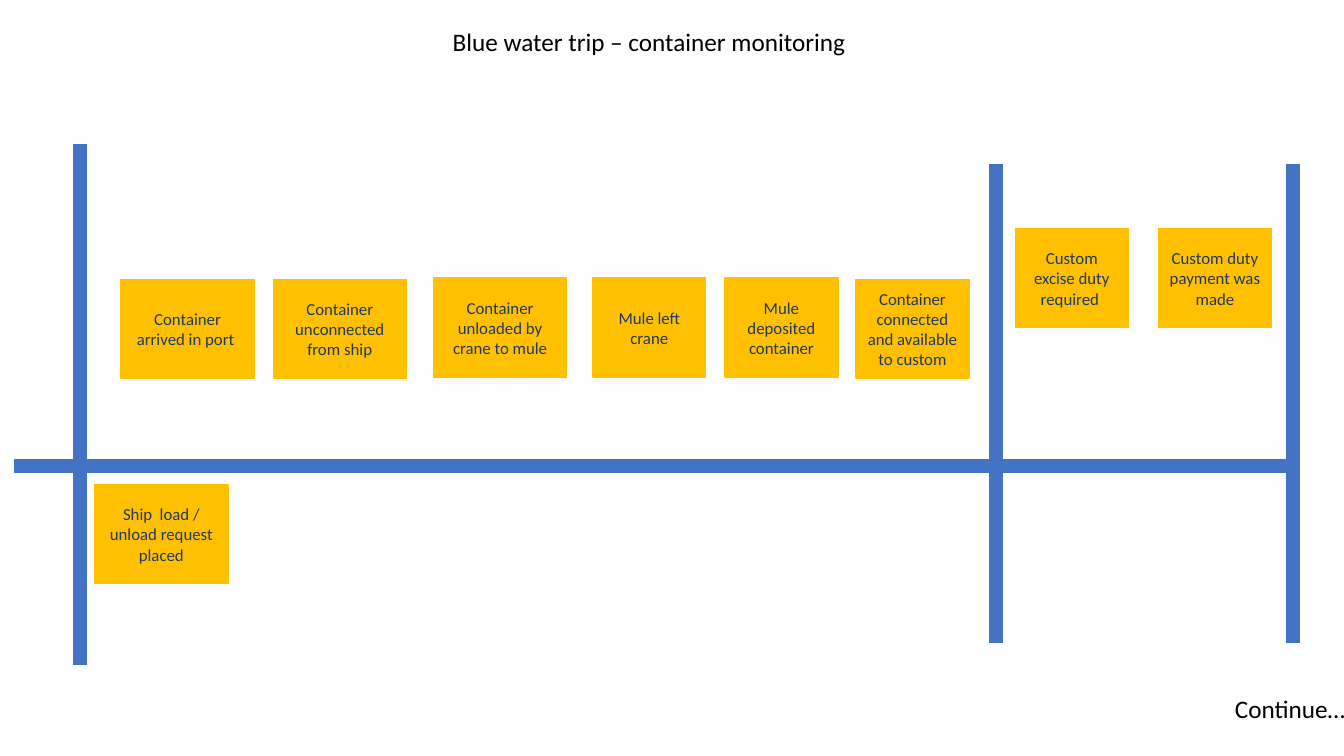
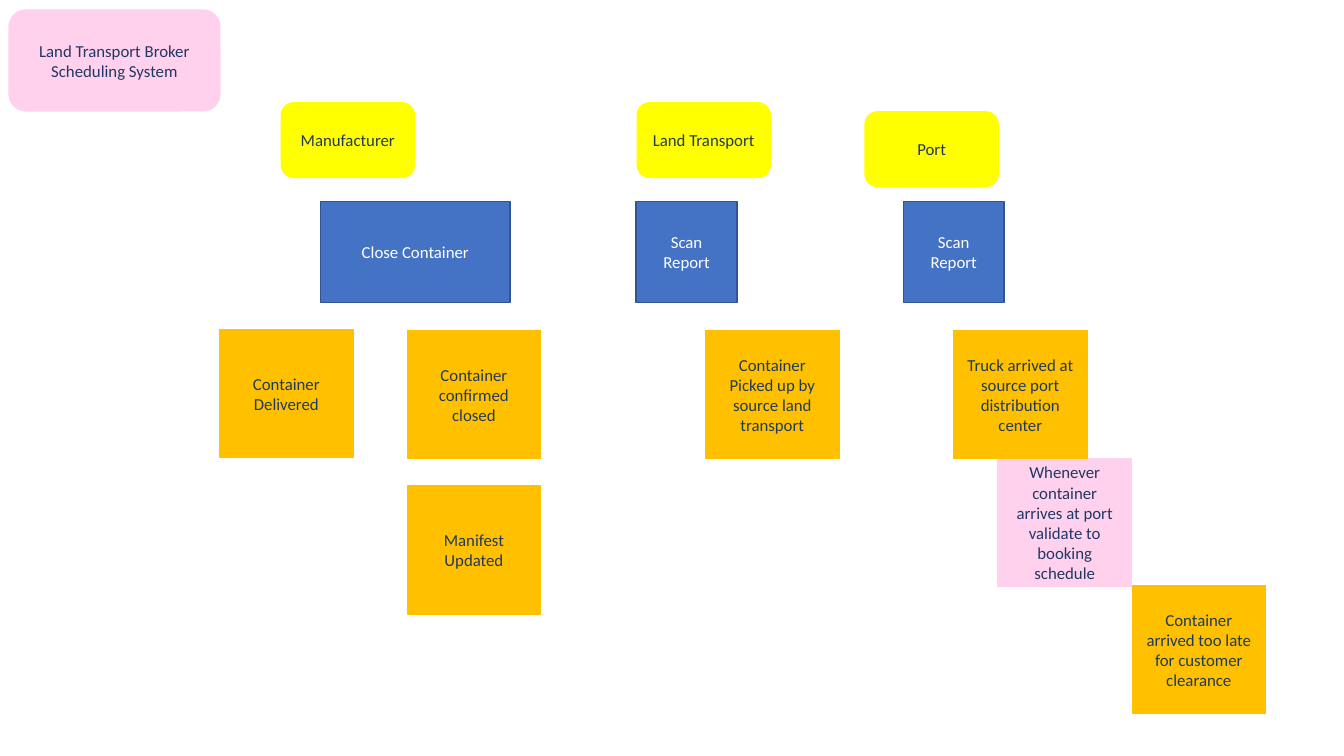
from dataclasses import dataclass

from lxml import etree
from pptx import Presentation
from pptx import util as u
from pptx.dml.color import RGBColor
from pptx.enum import dml, shapes, text
from pptx.oxml import ns


@dataclass(frozen=True)
class Theme:
    font: str = "Calibri"
    heading_size: int = 18
    note_size: int = 12
    axis_width: int = 10
    black: RGBColor = RGBColor.from_string("000000")
    white: RGBColor = RGBColor.from_string("FFFFFF")
    navy: RGBColor = RGBColor.from_string("203864")
    blue: RGBColor = RGBColor.from_string("4472C4")
    dark_blue: RGBColor = RGBColor.from_string("325491")
    orange: RGBColor = RGBColor.from_string("FFC000")
    yellow: RGBColor = RGBColor.from_string("FFFF00")
    pink: RGBColor = RGBColor.from_string("FFD1EC")


theme = Theme()
RECTANGLE = shapes.MSO_SHAPE.RECTANGLE
ROUNDED = shapes.MSO_SHAPE.ROUNDED_RECTANGLE

# Each kind of note: outline, fill, line, text colour
event = (RECTANGLE, theme.orange, theme.orange, theme.navy)
policy = (RECTANGLE, theme.pink, theme.pink, theme.navy)
command = (RECTANGLE, theme.blue, theme.dark_blue, theme.white)
actor = (ROUNDED, theme.yellow, theme.yellow, theme.navy)
system = (ROUNDED, theme.pink, theme.pink, theme.navy)


def write(shape, words, size=theme.note_size, color=theme.navy,
          align=text.PP_ALIGN.CENTER, anchor=text.MSO_ANCHOR.MIDDLE, wrap=True):
    frame = shape.text_frame
    frame.word_wrap = wrap
    frame.vertical_anchor = anchor
    frame.margin_left = frame.margin_right = u.Inches(0.1)
    frame.margin_top = frame.margin_bottom = u.Inches(0.05)
    if not wrap:
        frame.auto_size = text.MSO_AUTO_SIZE.SHAPE_TO_FIT_TEXT
    paragraph = frame.paragraphs[0]
    paragraph.alignment = align
    run = paragraph.add_run()
    run.text = words
    run.font.name = theme.font
    run.font.size = u.Pt(size)
    run.font.color.rgb = color


def add_note(slide, kind, words, left, top, width, height):
    outline, fill, line, color = kind
    shape = slide.shapes.add_shape(outline, u.Inches(left), u.Inches(top),
                                   u.Inches(width), u.Inches(height))
    shape.shadow.inherit = False
    shape.fill.solid()
    shape.fill.fore_color.rgb = fill
    shape.line.color.rgb = line
    shape.line.width = u.Pt(1)
    write(shape, words, color=color)
    return shape


presentation = Presentation()
presentation.slide_width = u.Inches(13.33)
presentation.slide_height = u.Inches(7.5)
title_only, blank = presentation.slide_layouts[5], presentation.slide_layouts[6]

# Slide 1: container timeline
slide = presentation.slides.add_slide(title_only)
title = slide.shapes.title
title.left, title.top = u.Inches(4.39), u.Inches(0.21)
title.width, title.height = u.Inches(4.14), u.Inches(0.4)
continuation = slide.shapes.add_textbox(u.Inches(12.15), u.Inches(6.83),
                                        u.Inches(1.33), u.Inches(0.4))
for shape, words in ((title, "Blue water trip – container monitoring"),
                     (continuation, "Continue…")):
    write(shape, words, size=theme.heading_size, color=theme.black,
          align=text.PP_ALIGN.LEFT, anchor=text.MSO_ANCHOR.TOP, wrap=False)

# Time axis and phase dividers
for start_x, start_y, end_x, end_y in (
    (0.14, 4.62, 12.82, 4.62),
    (0.79, 1.43, 0.79, 6.6),
    (9.88, 1.63, 9.88, 6.38),
    (12.82, 1.63, 12.82, 6.38),
):
    axis = slide.shapes.add_connector(
        shapes.MSO_CONNECTOR.STRAIGHT, u.Inches(start_x), u.Inches(start_y),
        u.Inches(end_x), u.Inches(end_y))
    axis.line.color.rgb = theme.blue
    axis.line.width = u.Pt(theme.axis_width)
    etree.SubElement(axis.element.spPr, ns.qn("a:effectLst"))

# Timeline events
wide, narrow = 1.32, 1.12
for words, left, top, width in (
    ("Container arrived in port ", 1.2, 2.77, wide),
    ("Container unconnected from ship", 2.71, 2.77, wide),
    ("Container unloaded by crane to mule", 4.3, 2.76, wide),
    ("Mule left crane", 5.88, 2.76, narrow),
    ("Mule deposited container", 7.19, 2.76, narrow),
    ("Container connected and available to custom", 8.49, 2.77, narrow),
    ("Custom excise duty required ", 10.07, 2.27, narrow),
    ("Custom duty payment was made", 11.49, 2.27, narrow),
    ("Ship  load / unload request placed", 0.94, 4.81, wide),
):
    add_note(slide, event, words, left, top, width, 0.98)

# Slide 2: land transport board
slide = presentation.slides.add_slide(blank)
broker = add_note(slide, system, "Land Transport Broker Scheduling System",
                  0.09, 0.1, 2.09, 1)
broker.fill.patterned()
broker.fill.pattern = dml.MSO_PATTERN.DARK_VERTICAL
broker.fill.fore_color.rgb = theme.pink
broker.fill.back_color.rgb = theme.white

# Actors
for words, left, top in (("Manufacturer", 2.79, 1.02),
                         ("Land Transport", 6.32, 1.02),
                         ("Port", 8.58, 1.11)):
    add_note(slide, actor, words, left, top, 1.32, 0.74)

# Commands
for words, left, width in (("Close Container", 3.18, 1.88),
                           ("Scan Report", 6.31, 1),
                           ("Scan Report", 8.96, 1)):
    add_note(slide, command, words, left, 2, width, 1)

# Policy and events
for kind, words, left, top in (
    (policy, "Whenever container arrives at port validate to booking schedule",
     9.9, 4.55),
    (event, "Container Delivered", 2.18, 3.27),
    (event, "Container confirmed closed", 4.04, 3.28),
    (event, "Manifest Updated", 4.04, 4.82),
    (event, "Container Picked up by source land transport", 7, 3.28),
    (event, "Truck arrived at source port distribution center", 9.46, 3.28),
    (event, "Container arrived too late for customer clearance", 11.23, 5.81),
):
    add_note(slide, kind, words, left, top, 1.32, 1.27)

presentation.save("out.pptx")
